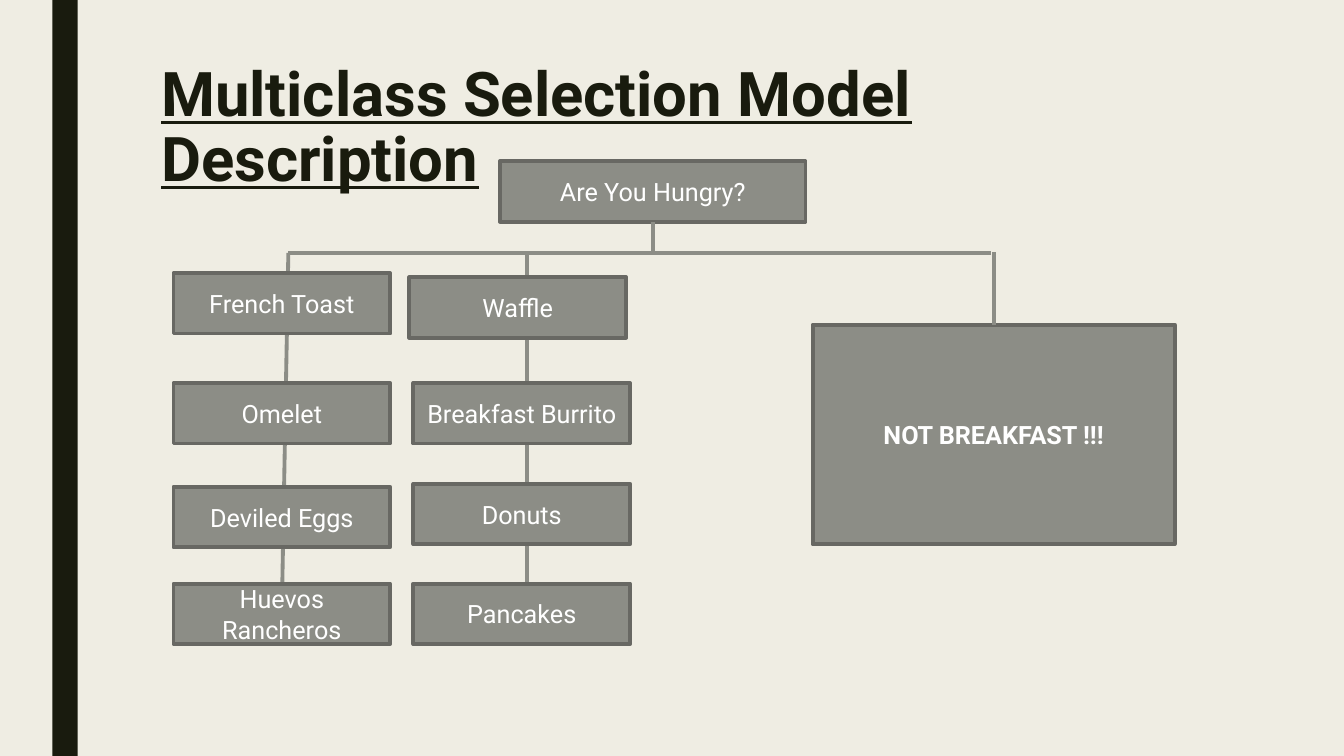
from dataclasses import dataclass

from lxml import etree
from pptx import Presentation
from pptx.dml.color import RGBColor
from pptx.enum.shapes import MSO_CONNECTOR, MSO_SHAPE
from pptx.enum.text import MSO_ANCHOR, PP_ALIGN
from pptx.oxml.ns import qn
from pptx.util import Inches, Pt

RECTANGLE = MSO_SHAPE.RECTANGLE
STRAIGHT = MSO_CONNECTOR.STRAIGHT
TOP, MIDDLE = MSO_ANCHOR.TOP, MSO_ANCHOR.MIDDLE
LEFT, CENTER = PP_ALIGN.LEFT, PP_ALIGN.CENTER


@dataclass(frozen=True)
class Theme:
    background: RGBColor = RGBColor.from_string("EFEDE3")
    ink: RGBColor = RGBColor.from_string("191B0E")
    node: RGBColor = RGBColor.from_string("8C8D86")
    border: RGBColor = RGBColor.from_string("686863")
    node_text: RGBColor = RGBColor.from_string("FFFFFF")
    font: str = "Roboto"
    title_size: Pt = Pt(44)
    node_size: Pt = Pt(18)
    stroke: Pt = Pt(2.75)


THEME = Theme()
SLIDE_WIDTH, SLIDE_HEIGHT = 13.33, 7.5
NODE_HEIGHT = 0.6
RAIL_Y = 2.51
LAST_ROW_Y = 5.79


def write_text(frame, text, color, align, anchor, **formats):
    frame.word_wrap = True
    frame.vertical_anchor = anchor
    paragraph = frame.paragraphs[0]
    paragraph.alignment = align
    run = paragraph.add_run()
    run.text = text
    run.font.color.rgb = color
    for name, value in {"name": THEME.font, **formats}.items():
        setattr(run.font, name, value)
    return paragraph


def add_block(slide, box, fill):
    block = slide.shapes.add_shape(RECTANGLE, *map(Inches, box))
    block.shadow.inherit = False
    block.fill.solid()
    block.fill.fore_color.rgb = fill
    return block


def add_node(slide, box, text, bold=False):
    node = add_block(slide, box, THEME.node)
    node.line.color.rgb = THEME.border
    node.line.width = THEME.stroke
    write_text(node.text_frame, text, THEME.node_text, CENTER, MIDDLE,
               size=THEME.node_size, bold=bold)


def add_branch(slide, start, end):
    branch = slide.shapes.add_connector(STRAIGHT, *map(Inches, (*start, *end)))
    branch.line.color.rgb = THEME.node
    branch.line.width = THEME.stroke
    etree.SubElement(branch._element.spPr, qn("a:effectLst"))


def add_side_bar(slide, box):
    add_block(slide, box, THEME.ink).line.fill.background()


def add_title(slide, box):
    title = slide.shapes.add_textbox(*map(Inches, box))
    heading = write_text(title.text_frame, "Multiclass Selection Model Description",
                         THEME.ink, LEFT, TOP, size=THEME.title_size,
                         bold=True, underline=True)
    heading.line_spacing = 0.89


def add_dish_column(slide, box, trunk, dishes):
    left, top, width, height = box
    trunk_top, trunk_bottom = trunk
    add_branch(slide, (trunk_top, RAIL_Y), (trunk_bottom, LAST_ROW_Y))
    for dish, shift, drop in dishes:
        add_node(slide, (left + shift, top + drop, width, height), dish)


def add_question(slide, box, rail):
    left, top, width, height = box
    center = left + width / 2
    add_node(slide, box, "Are You Hungry?")
    add_branch(slide, (center, top + height), (center, RAIL_Y))
    add_branch(slide, (rail[1], RAIL_Y), (rail[0], RAIL_Y))


def add_refusal(slide, box):
    left, top, width, height = box
    center = left + width / 2
    add_node(slide, box, "NOT BREAKFAST !!!", bold=True)
    add_branch(slide, (center, RAIL_Y - 0.01), (center, top))


def main():
    deck = Presentation()
    deck.slide_width = Inches(SLIDE_WIDTH)
    deck.slide_height = Inches(SLIDE_HEIGHT)
    slide = deck.slides.add_slide(deck.slide_layouts[6])
    slide.background.fill.solid()
    slide.background.fill.fore_color.rgb = THEME.background

    add_side_bar(slide, (0.52, 0, 0.25, SLIDE_HEIGHT))
    add_title(slide, (1.5, 0.58, 10.5, 1.62))
    add_dish_column(slide, (1.72, 2.71, 2.15, NODE_HEIGHT), (2.86, 2.8), [
        ("French Toast", 0, 0),
        ("Omelet", 0, 1.09),
        ("Deviled Eggs", 0, 2.12),
        ("Huevos Rancheros", 0, 3.08),
    ])
    add_dish_column(slide, (4.06, 2.75, 2.15, NODE_HEIGHT), (5.23, 5.23), [
        ("Waffle", 0, 0),
        ("Breakfast Burrito", 0.04, 1.05),
        ("Donuts", 0.04, 2.05),
        ("Pancakes", 0.04, 3.04),
    ])
    add_question(slide, (4.96, 1.6, 3.03, NODE_HEIGHT), (2.86, 9.83))
    add_refusal(slide, (8.06, 3.22, 3.59, 2.18))
    deck.save("out.pptx")


if __name__ == "__main__":
    main()
